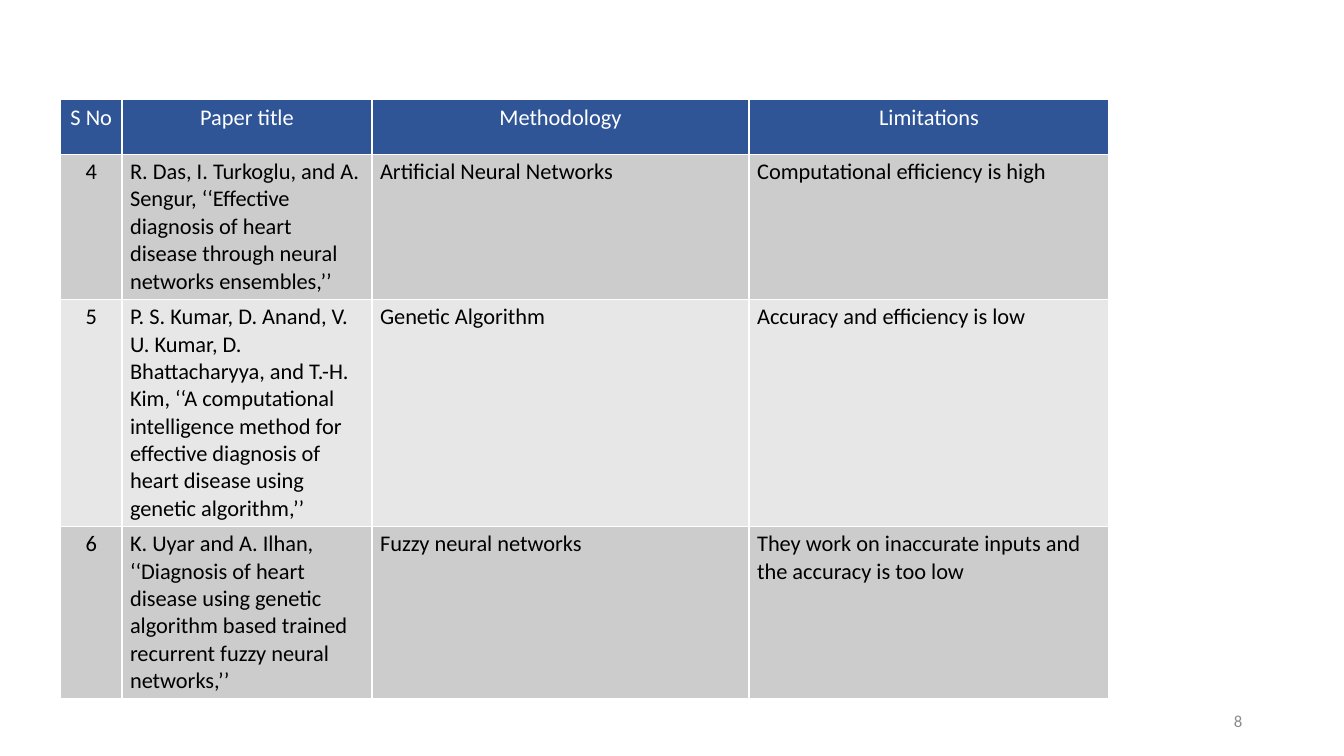
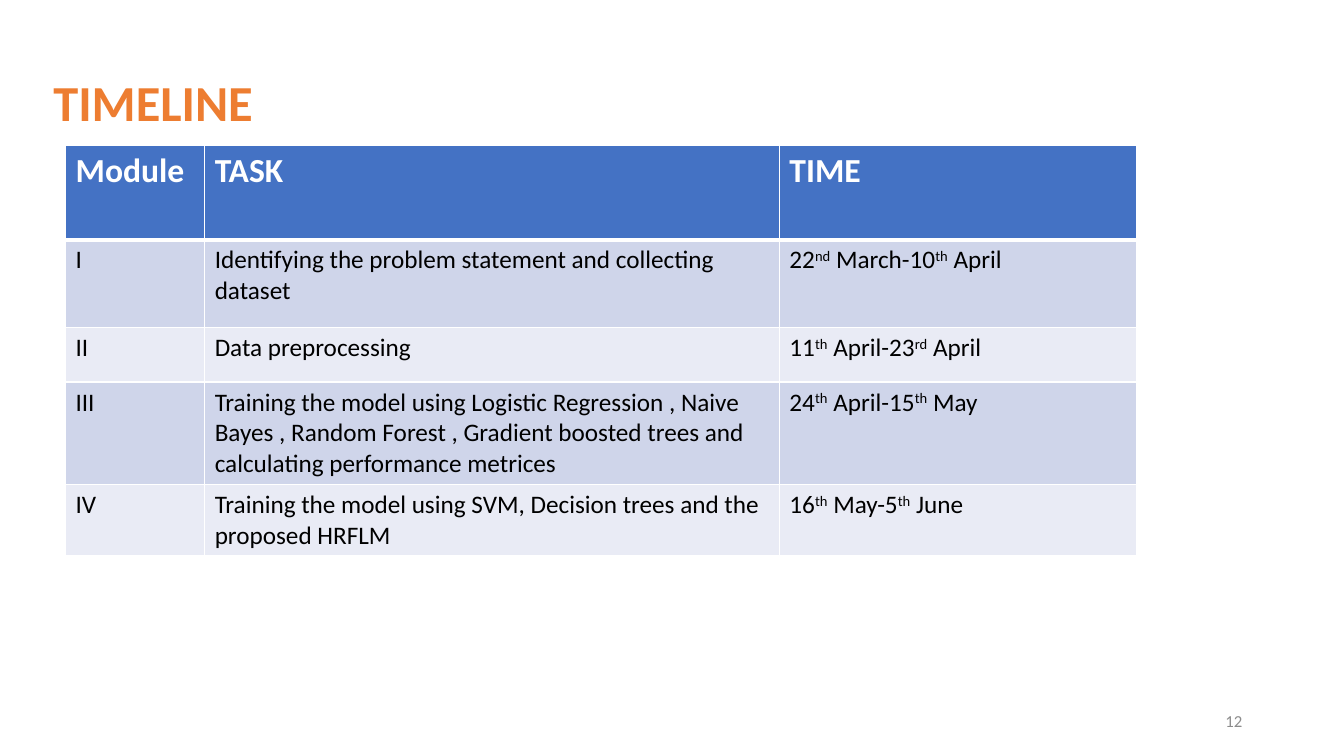
from lxml import etree
from pptx import Presentation
from pptx import util as u
from pptx.dml.color import RGBColor
from pptx.enum import text
from pptx.oxml.ns import qn

FONT = "Calibri"
WHITE, BLACK, GREY, ORANGE = "FFFFFF", "000000", "8C8C8C", "ED7D31"
TITLE_ONLY, BLANK = 5, 6
LEFT, CENTER, RIGHT = text.PP_ALIGN.LEFT, text.PP_ALIGN.CENTER, text.PP_ALIGN.RIGHT

PAPERS = [
    ["S No", "Paper title", "Methodology", "Limitations"],
    ["4", "R. Das, I. Turkoglu, and A. Sengur, ‘‘Effective diagnosis of heart disease "
     "through neural networks ensembles,’’",
     "Artificial Neural Networks", "Computational efficiency is high"],
    ["5", "P. S. Kumar, D. Anand, V. U. Kumar, D. Bhattacharyya, and T.-H. Kim, "
     "‘‘A computational intelligence method for effective diagnosis of heart disease "
     "using genetic algorithm,’’",
     "Genetic Algorithm", "Accuracy and efficiency is low"],
    ["6", "K. Uyar and A. Ilhan, ‘‘Diagnosis of heart disease using genetic algorithm "
     "based trained recurrent fuzzy neural networks,’’",
     "Fuzzy neural networks", "They work on inaccurate inputs and the accuracy is too low"],
]
TIMELINE = [
    ["Module", "TASK", "TIME"],
    ["I", "Identifying the problem statement and collecting dataset",
     "22^nd^ March-10^th^ April"],
    ["II", "Data preprocessing", "11^th^ April-23^rd^ April"],
    ["III", "Training the model using Logistic Regression , Naive Bayes , Random Forest , "
     "Gradient boosted trees and calculating performance metrices",
     "24^th^ April-15^th^ May"],
    ["IV", "Training the model using SVM, Decision trees and the proposed HRFLM",
     "16^th^ May-5^th^ June"],
]
PAPERS_STYLE = {
    "header": {"size": 16, "bold": False, "color": WHITE},
    "body": {"size": 16, "bold": False, "color": BLACK},
    "header_fill": "2F5597", "bands": ("CCCCCC", "E7E7E7"),
    "margins": (0.08, 0.04), "rule": 1,
    "header_align": CENTER, "first_align": CENTER,
}
TIMELINE_STYLE = {
    "header": {"size": 24, "bold": True, "color": WHITE},
    "body": {"size": 18, "bold": False, "color": BLACK},
    "header_fill": "4472C4", "bands": ("CFD5EA", "E9EBF5"),
    "margins": (0.1, 0.05), "rule": 3,
    "header_align": LEFT, "first_align": LEFT,
}


def rgb(value):
    """Return the colour for a hex string."""
    return RGBColor.from_string(value)


def write(tf, content, size, color, bold=False, align=LEFT):
    """Write one paragraph, raising the parts set between carets."""
    p = tf.paragraphs[0]
    p.alignment = align
    for i, part in enumerate(content.split("^")):
        r = p.add_run()
        r.text = part
        for name, value in {"name": FONT, "size": u.Pt(size), "bold": bold}.items():
            setattr(r.font, name, value)
        r.font.color.rgb = rgb(color)
        if i % 2:
            r.font._element.set("baseline", "30000")
    return p


def set_borders(cell, top, bottom):
    """Give a cell white borders, with top and bottom widths in points."""
    tc_pr = cell._tc.get_or_add_tcPr()
    widths = {"a:lnL": 1, "a:lnR": 1, "a:lnT": top, "a:lnB": bottom}
    for i, (tag, width) in enumerate(widths.items()):
        ln = etree.Element(qn(tag), w=str(u.Pt(width)))
        fill = etree.SubElement(ln, qn("a:solidFill"))
        etree.SubElement(fill, qn("a:srgbClr"), val=WHITE)
        tc_pr.insert(i, ln)


def add_table(s, rows, left, top, widths, heights, style):
    """Add a table with a header row and two alternating body fills."""
    frame = s.shapes.add_table(len(rows), len(widths), u.Inches(left), u.Inches(top),
                               u.Inches(sum(widths)), u.Inches(sum(heights)))
    table = frame.table
    for column, width in zip(table.columns, widths):
        column.width = u.Inches(width)
    for row, height in zip(table.rows, heights):
        row.height = u.Inches(height)
    side, edge = (u.Inches(m) for m in style["margins"])
    for i, row in enumerate(rows):
        for j, content in enumerate(row):
            cell = table.cell(i, j)
            cell.margin_left = cell.margin_right = side
            cell.margin_top = cell.margin_bottom = edge
            cell.fill.solid()
            fill = style["bands"][(i - 1) % 2] if i else style["header_fill"]
            cell.fill.fore_color.rgb = rgb(fill)
            set_borders(cell, style["rule"] if i == 1 else 1, 1 if i else style["rule"])
            align = LEFT if i and j else style["first_align" if i else "header_align"]
            write(cell.text_frame, content, align=align, **style["body" if i else "header"])


def add_title(s, content):
    """Place and format the title placeholder."""
    sp = s.shapes.title
    box = {"left": 0.43, "top": 0.32, "width": 11.5, "height": 1.45}
    for name, value in box.items():
        setattr(sp, name, u.Inches(value))
    sp.text_frame.vertical_anchor = text.MSO_ANCHOR.MIDDLE
    write(sp.text_frame, content, 36, ORANGE, bold=True).line_spacing = 0.9


def add_page_number(s, number):
    """Add the page number at the lower right."""
    sp = s.shapes.add_textbox(*(u.Inches(v) for v in (9.42, 6.95, 3, 0.4)))
    tf = sp.text_frame
    tf.word_wrap = True
    tf.vertical_anchor = text.MSO_ANCHOR.MIDDLE
    write(tf, str(number), 12, GREY, align=RIGHT)


def main():
    """Build and save the two slides."""
    prs = Presentation()
    prs.slide_width, prs.slide_height = u.Inches(13.33), u.Inches(7.5)

    s = prs.slides.add_slide(prs.slide_layouts[BLANK])
    add_table(s, PAPERS, 0.6, 0.99, [0.61, 2.48, 3.74, 3.57],
              [0.54, 1.44, 2.25, 1.7], PAPERS_STYLE)
    add_page_number(s, 8)

    s = prs.slides.add_slide(prs.slide_layouts[TITLE_ONLY])
    add_title(s, "TIMELINE")
    add_page_number(s, 12)
    add_table(s, TIMELINE, 0.65, 1.44, [1.38, 5.7, 3.54],
              [0.94, 0.87, 0.54, 1.02, 0.7], TIMELINE_STYLE)

    prs.save("out.pptx")


if __name__ == "__main__":
    main()
